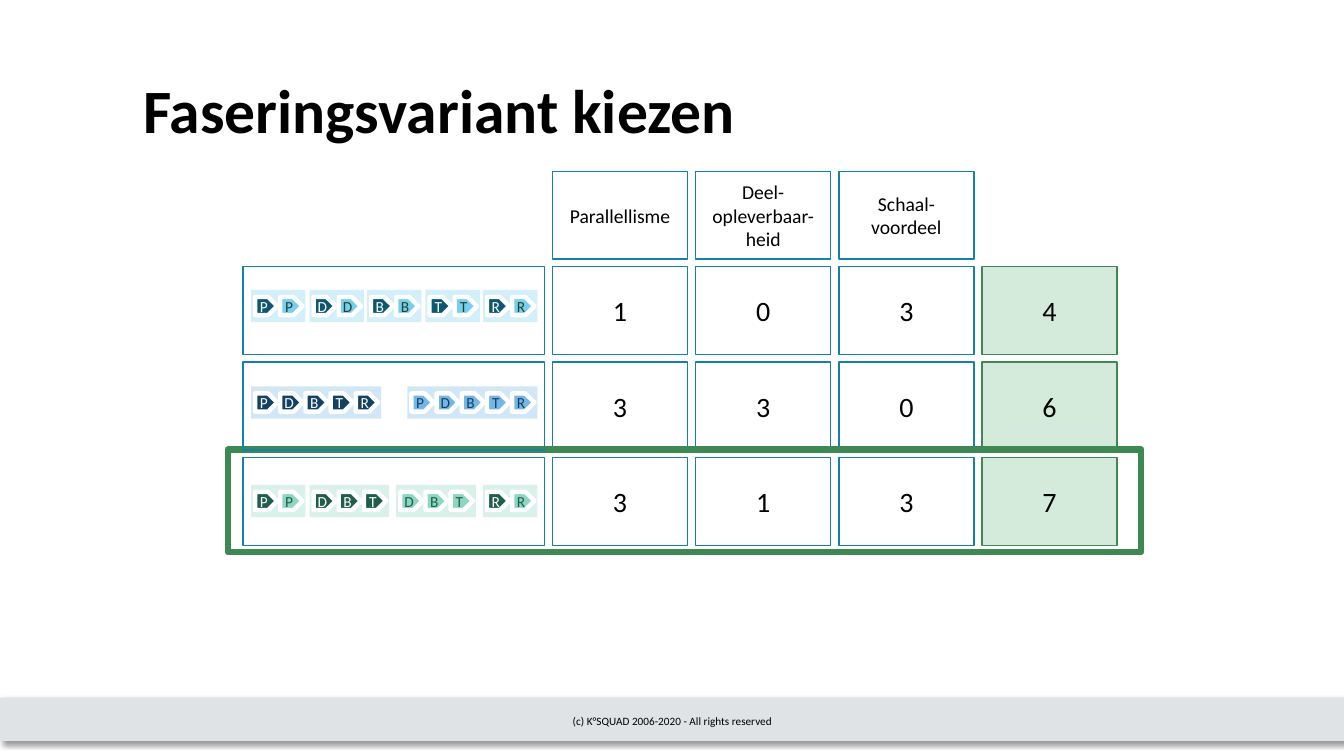
from lxml.etree import SubElement
from pptx import Presentation
from pptx.dml.color import RGBColor
from pptx.enum.shapes import MSO_SHAPE
from pptx.enum.text import MSO_ANCHOR, MSO_AUTO_SIZE, PP_ALIGN
from pptx.oxml.ns import qn
from pptx.util import Inches, Pt

SLIDE_WIDTH, SLIDE_HEIGHT = 13.33, 7.5
CELL_WIDTH, CELL_HEIGHT = 1.34, 0.87
FIRST_COLUMN, COLUMN_PITCH = 5.48, 1.42
FIRST_ROW, LAST_ROW = 1.7, 4.54
VARIANT_LEFT, VARIANT_WIDTH = 2.41, 2.99
PHASE_PITCH = 0.25

COLORS = {
    "text": "000000", "white": "FFFFFF", "band": "DFE3E5",
    "grid": "1580A9", "total": "D4EBDB", "accent": "3E8853",
}
CRITERIA = ["Parallellisme", "Deel-opleverbaar-heid", "Schaal-voordeel"]
# Each phase group: left edge, dark letters, light letters
VARIANTS = [
    {"scores": [1, 0, 3], "drop": 0.23,
     "back": "D2EFFA", "dark": "0E5772", "light": "77CEEF", "letter": "1F442A",
     "groups": [(2.49, "P", "P"), (3.07, "D", "D"), (3.64, "B", "B"),
                (4.22, "T", "T"), (4.79, "R", "R")]},
    {"scores": [3, 3, 0], "drop": 0.24,
     "back": "D1E7F6", "dark": "134163", "light": "75B6E5", "letter": "134163",
     "groups": [(2.49, "PDBTR", ""), (4.04, "", "PDBTR")]},
    {"scores": [3, 1, 3], "drop": 0.27,
     "back": "D9F1EA", "dark": "215D4C", "light": "8DD6C1", "letter": "215D4C",
     "groups": [(2.49, "P", "P"), (3.07, "DBT", ""), (3.93, "", "DBT"),
                (4.79, "R", "R")]},
]


def column_left(column):
    return FIRST_COLUMN + column * COLUMN_PITCH


def row_top(row):
    return FIRST_ROW + row * (LAST_ROW - FIRST_ROW) / len(VARIANTS)


def write_text(shape, text, *, size, color=COLORS["text"], bold=False,
               align=PP_ALIGN.CENTER, spacing=None, wrap=True, margin=None):
    frame = shape.text_frame
    frame.text = text
    frame.word_wrap = wrap
    frame.auto_size = MSO_AUTO_SIZE.NONE
    frame.vertical_anchor = MSO_ANCHOR.MIDDLE
    if margin is not None:
        frame.margin_left = frame.margin_right = Inches(margin)
        frame.margin_top = frame.margin_bottom = Inches(margin)
    paragraph = frame.paragraphs[0]
    paragraph.alignment = align
    paragraph.line_spacing = spacing
    font = paragraph.runs[0].font
    font.name, font.size, font.bold = "Calibri", Pt(size), bold
    font.color.rgb = RGBColor.from_string(color)


def add_box(slide, left, top, width, height, *, fill=None, line=None,
            line_width=1, kind=MSO_SHAPE.RECTANGLE):
    shape = slide.shapes.add_shape(
        kind, Inches(left), Inches(top), Inches(width), Inches(height))
    shape.shadow.inherit = False
    if fill:
        shape.fill.solid()
        shape.fill.fore_color.rgb = RGBColor.from_string(fill)
    else:
        shape.fill.background()
    if line:
        shape.line.color.rgb = RGBColor.from_string(line)
        shape.line.width = Pt(line_width)
    else:
        shape.line.fill.background()
    return shape


def add_cell(slide, column, row, text, size=20, fill=None, line=COLORS["grid"]):
    cell = add_box(slide, column_left(column), row_top(row),
                   CELL_WIDTH, CELL_HEIGHT, fill=fill, line=line)
    write_text(cell, str(text), size=size)


def add_phase_group(slide, variant, left, top, dark, light):
    """Draw a tinted strip with one pentagon per phase letter."""
    letters = dark + light
    add_box(slide, left, top, len(letters) * PHASE_PITCH + 0.04, 0.32,
            fill=variant["back"])
    for index, letter in enumerate(letters):
        is_dark = index < len(dark)
        phase = add_box(slide, left + 0.04 + index * PHASE_PITCH, top + 0.07,
                        0.22, 0.18, kind=MSO_SHAPE.PENTAGON,
                        fill=variant["dark" if is_dark else "light"],
                        line=COLORS["white"], line_width=3.15)
        write_text(phase, letter, size=11, wrap=False, margin=0,
                   color=COLORS["white"] if is_dark else variant["letter"])


def add_footer(slide):
    band = add_box(slide, 0, 6.92, SLIDE_WIDTH, 0.43, fill=COLORS["band"])
    effects = band._element.spPr.find(qn("a:effectLst"))
    shadow = SubElement(effects, qn("a:outerShdw"), blurRad=str(Pt(4)),
                        dist=str(Pt(3)), dir="2700000", rotWithShape="0")
    color = SubElement(shadow, qn("a:srgbClr"), val=COLORS["text"])
    SubElement(color, qn("a:alpha"), val="40000")
    caption = slide.shapes.add_textbox(
        Inches(4.42), Inches(6.95), Inches(4.5), Inches(0.4))
    write_text(caption, "(c) K°SQUAD 2006-2020 - All rights reserved", size=8)


def add_title(slide, text):
    title = slide.shapes.title
    title.left, title.top = Inches(1.32), Inches(0.4)
    title.width, title.height = Inches(11.1), Inches(1.45)
    write_text(title, text, size=44, bold=True, align=PP_ALIGN.LEFT, spacing=0.9)


def add_scores(slide):
    for column, criterion in enumerate(CRITERIA):
        add_cell(slide, column, 0, criterion, size=14)
    for row, variant in enumerate(VARIANTS, start=1):
        for column, score in enumerate(variant["scores"]):
            add_cell(slide, column, row, score)
        add_cell(slide, len(CRITERIA), row, sum(variant["scores"]),
                 fill=COLORS["total"], line=COLORS["accent"])


def add_variants(slide):
    for row, variant in enumerate(VARIANTS, start=1):
        top = row_top(row)
        add_box(slide, VARIANT_LEFT, top, VARIANT_WIDTH, CELL_HEIGHT,
                line=COLORS["grid"])
        for left, dark, light in variant["groups"]:
            add_phase_group(slide, variant, left, top + variant["drop"], dark, light)


def main():
    presentation = Presentation()
    presentation.slide_width = Inches(SLIDE_WIDTH)
    presentation.slide_height = Inches(SLIDE_HEIGHT)
    slide = presentation.slides.add_slide(presentation.slide_layouts[5])
    add_title(slide, "Faseringsvariant kiezen")
    add_footer(slide)
    add_scores(slide)
    add_box(slide, 2.26, LAST_ROW - 0.08, 9.06, 1.02,
            line=COLORS["accent"], line_width=4.5)
    add_variants(slide)
    presentation.save("out.pptx")


if __name__ == "__main__":
    main()
